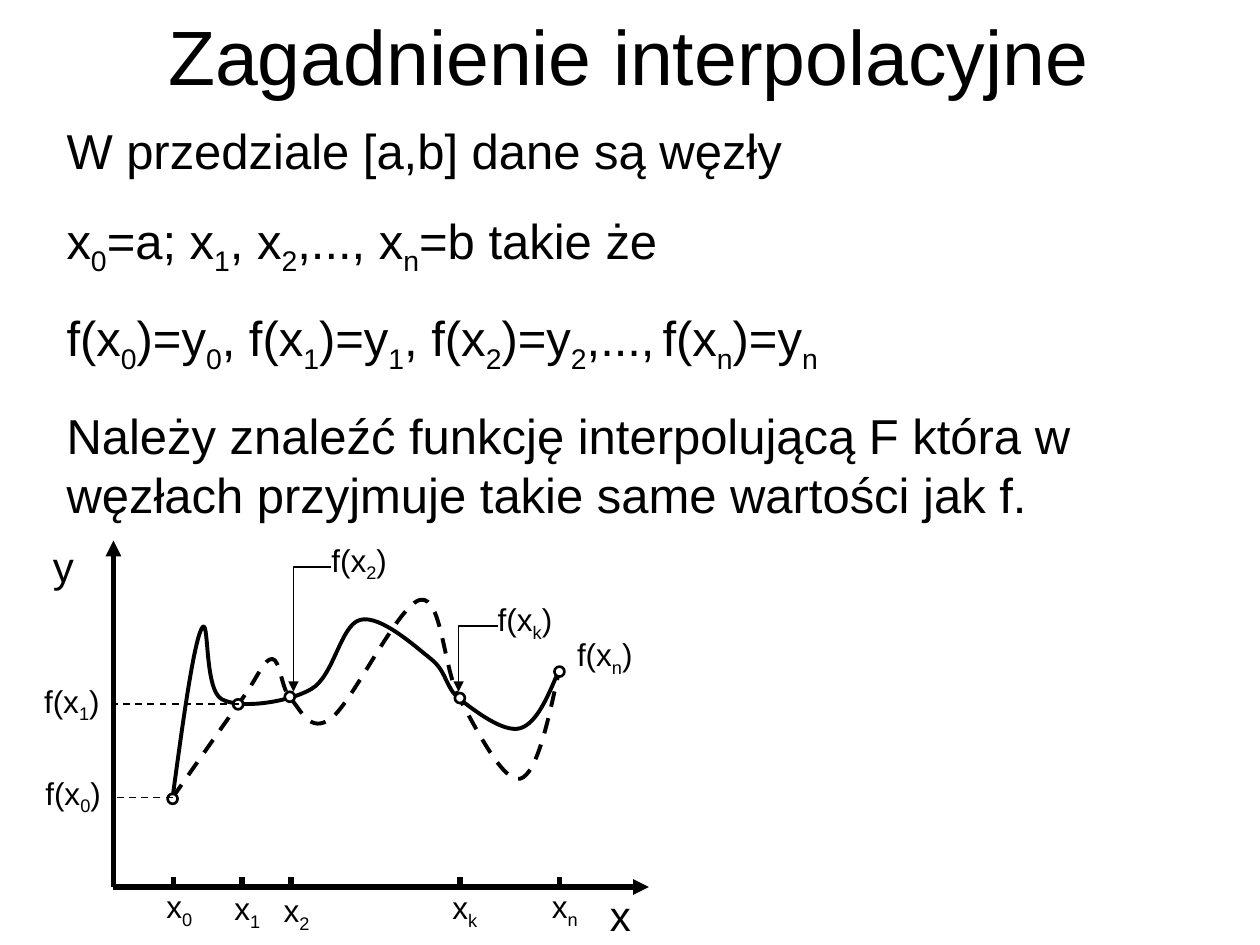
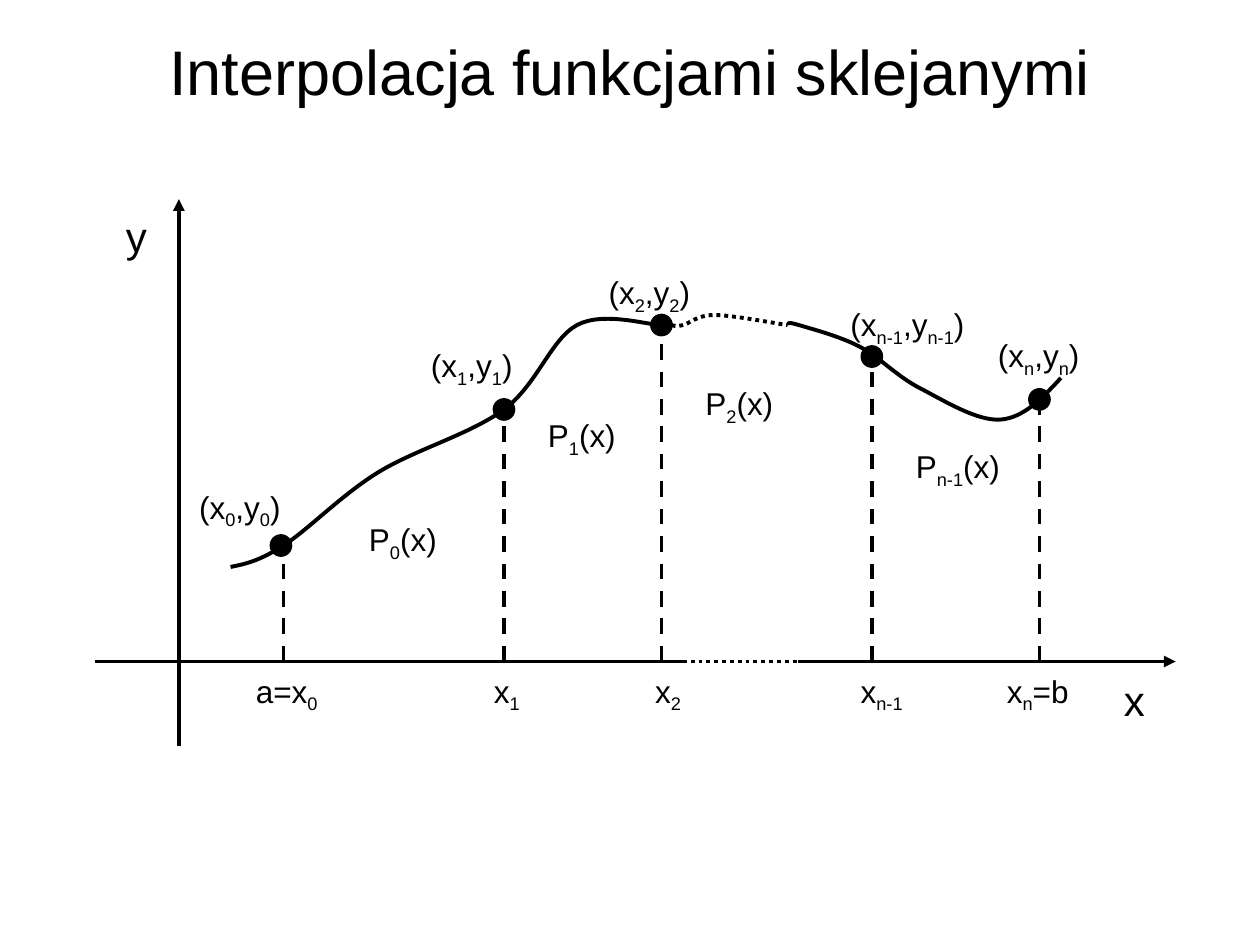
from dataclasses import dataclass
from typing import Any, Optional

import lxml.etree
import pptx
import pptx.dml.color
import pptx.enum.dml
import pptx.enum.shapes
import pptx.enum.text
import pptx.oxml.ns
import pptx.util

Inches = pptx.util.Inches
qn = pptx.oxml.ns.qn
Point = tuple[float, float]

INK = "000000"
PAPER = "FFFFFF"
FONT = "Arial"
DASH = pptx.enum.dml.MSO_LINE.DASH
DOTS = pptx.enum.dml.MSO_LINE.ROUND_DOT


@dataclass(frozen=True)
class Stroke:
    width: float
    dash: Optional[Any] = None
    arrow: bool = False


@dataclass(frozen=True)
class TextStyle:
    size: float
    space_before: float = 0
    insets: tuple[float, float, float, float] = (0, 0, 0, 0)
    centered: bool = False


@dataclass(frozen=True)
class Label:
    text: str
    left: float
    top: float
    width: float
    height: float


@dataclass(frozen=True)
class Node:
    subscript: str
    tick_x: float
    label_top: float
    dot: Point


@dataclass(frozen=True)
class Knot:
    axis_label: Label
    point_label: Label
    stem_x: float
    dot: Point


PADDING = (0.1, 0.05, 0.1, 0.05)
BODY = TextStyle(28, 17.5, PADDING)
SMALL_LOW = TextStyle(18, 11.2, (0, 0, 0, 0.13))
AXIS_LOW = TextStyle(24, 15, (0, 0, 0, 0.13))
SMALL = TextStyle(18, 11.2)
AXIS = TextStyle(24, 15)
SMALL_PADDED = TextStyle(18, 11.2, PADDING)

THICK = Stroke(3)
THICK_ARROW = Stroke(3, arrow=True)
MEDIUM = Stroke(2.25)
MEDIUM_ARROW = Stroke(2.25, arrow=True)
MEDIUM_DASH = Stroke(2.25, DASH)
MEDIUM_DOTS = Stroke(2.25, DOTS)
GUIDE = Stroke(1, DASH)
POINTER = Stroke(1, arrow=True)


def color(value: str) -> pptx.dml.color.RGBColor:
    return pptx.dml.color.RGBColor.from_string(value)


def apply(target: Any, settings: dict[str, Any]) -> None:
    for attribute, value in settings.items():
        setattr(target, attribute, value)


def add_xml(parent: Any, tag: str, **attributes: str) -> None:
    lxml.etree.SubElement(parent, qn(tag), attributes)


def draw_stroke(line: Any, stroke: Stroke) -> None:
    line.fill.solid()
    line.fill.fore_color.rgb = color(INK)
    line.width = pptx.util.Pt(stroke.width)
    if stroke.dash is not None:
        line.dash_style = stroke.dash
    if stroke.arrow:
        add_xml(line._get_or_add_ln(), "a:tailEnd", type="triangle")


def draw_text(slide: Any, label: Label, style: TextStyle) -> None:
    box = slide.shapes.add_textbox(
        *map(Inches, (label.left, label.top, label.width, label.height)))
    frame = box.text_frame
    left, top, right, bottom = map(Inches, style.insets)
    anchors, sizes = pptx.enum.text.MSO_ANCHOR, pptx.enum.text.MSO_AUTO_SIZE
    apply(frame, {
        "word_wrap": True,
        "margin_left": left,
        "margin_top": top,
        "margin_right": right,
        "margin_bottom": bottom,
        "vertical_anchor": anchors.MIDDLE if style.centered else anchors.TOP,
        "auto_size": sizes.NONE if style.centered else sizes.SHAPE_TO_FIT_TEXT,
    })
    alignments = pptx.enum.text.PP_ALIGN
    for index, line in enumerate(label.text.split("\n")):
        paragraph = frame.add_paragraph() if index else frame.paragraphs[0]
        apply(paragraph, {
            "alignment": alignments.CENTER if style.centered else alignments.LEFT,
            "space_before": pptx.util.Pt(style.space_before),
        })
        for position, part in enumerate(line.split("|")):
            if not part:
                continue
            run = paragraph.add_run()
            run.text = part
            apply(run.font, {"name": FONT, "size": pptx.util.Pt(style.size)})
            run.font.color.rgb = color(INK)
            if position % 2:
                run._r.get_or_add_rPr().set("baseline", "-25000")


def draw_title(slide: Any, title: Label, size: float) -> None:
    draw_text(slide, title, TextStyle(size, 0, PADDING, centered=True))


def draw_line(slide: Any, start: Point, end: Point, stroke: Stroke,
              bent: bool = False) -> None:
    kinds = pptx.enum.shapes.MSO_CONNECTOR
    connector = slide.shapes.add_connector(
        kinds.ELBOW if bent else kinds.STRAIGHT, *map(Inches, start + end))
    properties = connector._element.spPr
    if bent:
        properties.find(qn("a:prstGeom")).set("prst", "bentConnector2")
    draw_stroke(connector.line, stroke)
    add_xml(properties, "a:effectLst")


def draw_dot(slide: Any, center: Point, diameter: float, fill: str, width: float) -> None:
    x, y = center
    dot = slide.shapes.add_shape(
        pptx.enum.shapes.MSO_SHAPE.OVAL,
        *map(Inches, (x - diameter / 2, y - diameter / 2, diameter, diameter)))
    dot.shadow.inherit = False
    dot.fill.solid()
    dot.fill.fore_color.rgb = color(fill)
    draw_stroke(dot.line, Stroke(width))


def shift(point: Point, start: Point, end: Point, share: float) -> Point:
    return (point[0] + (end[0] - start[0]) * share,
            point[1] + (end[1] - start[1]) * share)


def smooth(knots: list[Point], flat_end: bool) -> list[Point]:
    track = [knots[0]]
    last = len(knots) - 2
    for i, (start, end) in enumerate(zip(knots, knots[1:])):
        if i > 0:
            leave = shift(start, knots[i - 1], end, 1 / 6)
        if i < last:
            arrive = shift(end, start, knots[i + 2], -1 / 6)
        elif flat_end:
            arrive = shift(end, start, end, -1 / 6)
        else:
            arrive = shift(leave, leave, end, 0.5)
        if i == 0:
            leave = shift(start, start, arrive, 0.5)
        track += [leave, arrive, end]
    return track


def draw_curve(slide: Any, knots: list[Point], stroke: Stroke,
               flat_end: bool = False) -> None:
    track = [(Inches(x), Inches(y)) for x, y in smooth(knots, flat_end)]
    builder = slide.shapes.build_freeform(*track[0])
    builder.add_line_segments(track[1:], close=False)
    curve = builder.convert_to_shape()
    segments = list(curve._element.iter(qn("a:lnTo")))
    for first in range(0, len(segments), 3):
        leave, arrive, end = segments[first:first + 3]
        leave.tag = qn("a:cubicBezTo")
        for segment in (arrive, end):
            leave.append(segment[0])
            segment.getparent().remove(segment)
    curve.shadow.inherit = False
    curve.fill.background()
    draw_stroke(curve.line, stroke)


def build_problem(slide: Any) -> None:
    draw_title(slide, Label("Zagadnienie interpolacyjne", 0.49, -0.19, 9, 1.25), 44)
    origin = (0.9, 7.04)
    draw_line(slide, origin, (5.15, 7.04), THICK_ARROW)
    draw_line(slide, origin, (0.9, 4.29), THICK_ARROW)
    function = [(1.37, 6.33), (1.6, 4.99), (1.76, 5.55), (2.47, 5.47), (2.86, 4.92),
                (3.42, 5.23), (3.65, 5.55), (4.13, 5.78), (4.44, 5.31)]
    interpolant = [(1.37, 6.33), (1.92, 5.55), (2.16, 5.23), (2.31, 5.55), (2.63, 5.7),
                   (3.34, 4.76), (3.65, 5.55), (4.13, 6.18), (4.44, 5.31)]
    draw_curve(slide, function, MEDIUM)
    draw_curve(slide, interpolant, MEDIUM_DASH)
    nodes = [
        Node("0", 1.38, 7.04, (1.37, 6.34)),
        Node("1", 1.92, 7.06, (1.89, 5.59)),
        Node("2", 2.31, 7.07, (2.3, 5.53)),
        Node("k", 3.65, 7.05, (3.65, 5.54)),
        Node("n", 4.44, 7.04, (4.44, 5.33)),
    ]
    for node in nodes:
        draw_line(slide, (node.tick_x, 7.04), (node.tick_x, 6.96), THICK)
        draw_dot(slide, node.dot, 0.08, PAPER, 1.5)
        draw_text(slide, Label(f"x|{node.subscript}|", node.tick_x - 0.06,
                               node.label_top, 0.32, 0.47), SMALL_LOW)
    draw_line(slide, (1.37, 6.33), (0.9, 6.33), GUIDE)
    draw_line(slide, (1.9, 5.59), (0.87, 5.59), GUIDE)
    value_places = [("0", 0.36, 6.14), ("1", 0.35, 5.41), ("2", 2.63, 4.29),
                    ("k", 3.95, 4.76), ("n", 4.58, 5.04)]
    for subscript, left, top in value_places:
        draw_text(slide, Label(f"f(x|{subscript}|)", left, top, 0.57, 0.47), SMALL_LOW)
    draw_line(slide, (3.95, 4.97), (3.64, 5.49), POINTER, bent=True)
    draw_line(slide, (2.63, 4.5), (2.33, 5.49), POINTER, bent=True)
    draw_text(slide, Label("x", 4.84, 7.06, 0.32, 0.53), AXIS_LOW)
    draw_text(slide, Label("y", 0.42, 4.29, 0.32, 0.53), AXIS_LOW)
    statement = "\n".join([
        "W przedziale [a,b] dane są węzły",
        "x|0|=a; x|1|, x|2|,..., x|n|=b takie że",
        "f(x|0|)=y|0|, f(x|1|)=y|1|, f(x|2|)=y|2|,...,| |f(x|n|)=y|n|",
        "Należy znaleźć funkcję interpolującą F która w węzłach przyjmuje "
        "takie same wartości jak f.",
    ])
    draw_text(slide, Label(statement, 0.43, 0.91, 9.14, 3.29), BODY)


def build_splines(slide: Any) -> None:
    draw_title(slide, Label("Interpolacja funkcjami sklejanymi", 0.5, 0.17, 9, 0.78), 36)
    axis_y = 5.25
    draw_line(slide, (1.42, 5.92), (1.42, 1.58), MEDIUM_ARROW)
    for start, end, stroke in [(0.75, 5.42, MEDIUM), (5.42, 6.33, MEDIUM_DOTS),
                               (6.33, 9.33, MEDIUM_ARROW)]:
        draw_line(slide, (start, axis_y), (end, axis_y), stroke)
    draw_curve(slide, [(1.83, 4.5), (2.25, 4.33), (3, 3.75), (4, 3.25),
                       (4.58, 2.58), (5.25, 2.58)], MEDIUM, flat_end=True)
    draw_curve(slide, [(5.33, 2.58), (5.42, 2.58), (5.67, 2.5), (6.25, 2.58)],
               MEDIUM_DOTS, flat_end=True)
    draw_curve(slide, [(6.26, 2.58), (6.34, 2.58), (6.82, 2.75), (7.3, 3.08),
                       (7.94, 3.33), (8.42, 3)], MEDIUM)

    def knot(axis_text: str, axis_left: float, axis_width: float, subscript: str,
             point_place: Point, point_width: float, stem_x: float, dot: Point) -> Knot:
        return Knot(Label(axis_text, axis_left, 5.33, axis_width, 0.34),
                    Label(f"(x|{subscript}|,y|{subscript}|)", *point_place, point_width, 0.34),
                    stem_x, dot)

    knots = [
        knot("a=x|0|", 2.03, 0.58, "0", (1.58, 3.87), 0.75, 2.25, (2.23, 4.33)),
        knot("x|1|", 3.92, 0.25, "1", (3.42, 2.75), 0.75, 4, (4, 3.25)),
        knot("x|2|", 5.2, 0.25, "2", (4.83, 2.17), 0.75, 5.25, (5.25, 2.58)),
        knot("x|n-1|", 6.83, 0.42, "n-1", (6.75, 2.42), 1, 6.92, (6.92, 2.83)),
        knot("x|n|=b", 7.99, 0.55, "n", (7.92, 2.67), 1, 8.25, (8.25, 3.17)),
    ]
    for item in knots:
        draw_line(slide, (item.stem_x, axis_y), (item.stem_x, item.dot[1]), MEDIUM_DASH)
        draw_text(slide, item.axis_label, SMALL)
        draw_text(slide, item.point_label, SMALL)
        draw_dot(slide, item.dot, 0.17, INK, 0.75)
    draw_text(slide, Label("x", 8.92, 5.35, 0.33, 0.4), AXIS)
    draw_text(slide, Label("y", 1, 1.67, 0.33, 0.4), AXIS)
    for subscript, left, top, width in [("0", 2.83, 4.08, 0.83), ("1", 4.25, 3.25, 0.83),
                                        ("2", 5.5, 3, 0.83), ("n-1", 7.17, 3.5, 1)]:
        draw_text(slide, Label(f"P|{subscript}|(x)", left, top, width, 0.44), SMALL_PADDED)


def main() -> None:
    presentation = pptx.Presentation()
    apply(presentation, {"slide_width": Inches(10), "slide_height": Inches(7.5)})
    for build in (build_problem, build_splines):
        build(presentation.slides.add_slide(presentation.slide_layouts[6]))
    presentation.save("out.pptx")


if __name__ == "__main__":
    main()
